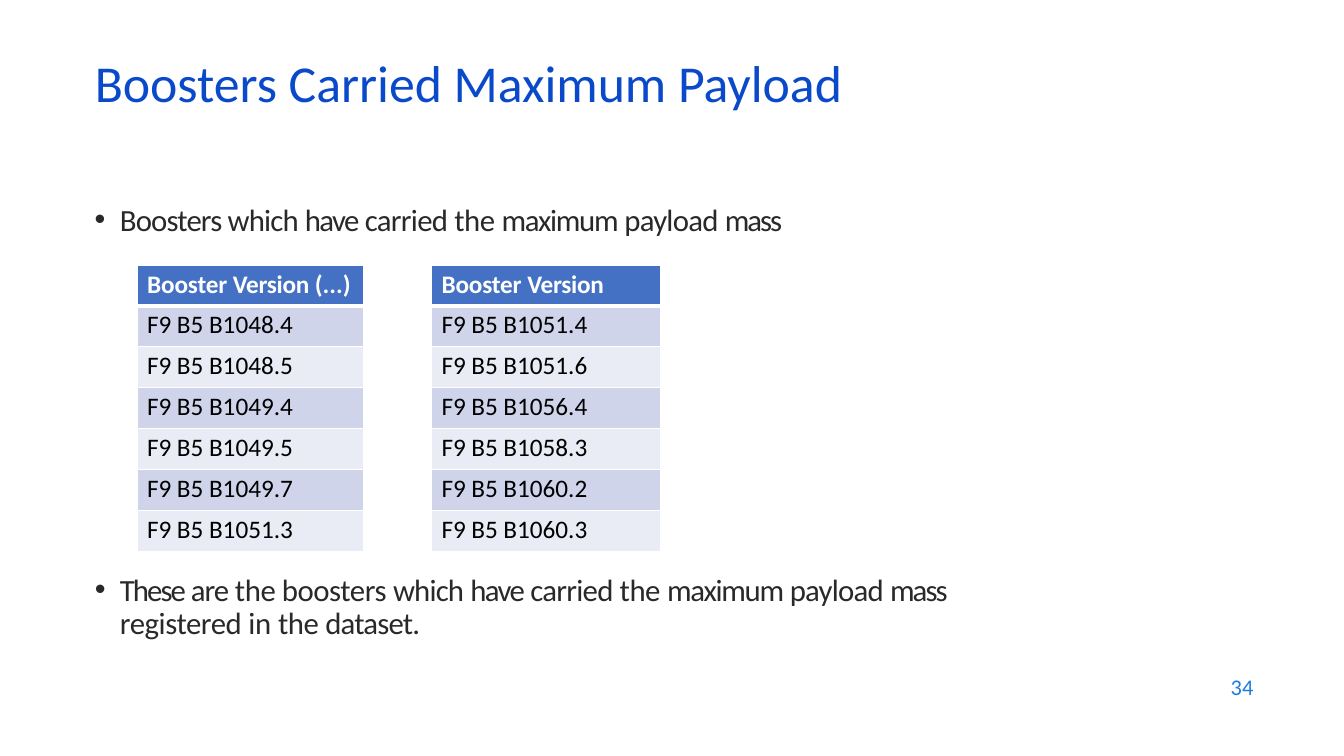
"""Build the slide on boosters that carried the maximum payload."""
from dataclasses import dataclass
from typing import NamedTuple

from lxml.etree import SubElement
from pptx import Presentation
from pptx.dml.color import RGBColor
from pptx.enum.text import MSO_ANCHOR, MSO_AUTO_SIZE, PP_ALIGN
from pptx.oxml.ns import qn
from pptx.util import Pt

SCALE = 9144


@dataclass(frozen=True)
class Theme:
    font: str = "Calibri"
    title: str = "0B49CB"
    body: str = "292929"
    number: str = "1C7DDB"
    head: str = "4471C4"
    bands: tuple = ("CFD4EA", "E9EBF5")
    white: str = "FFFFFF"
    black: str = "000000"
    title_size: int = 37
    body_size: int = 22
    cell_size: int = 18
    number_size: int = 16


class Box(NamedTuple):
    left: int
    top: int
    width: int
    height: int


class Span(NamedTuple):
    text: str
    track: float = 0


@dataclass(frozen=True)
class Bullet:
    box: Box
    inset: int
    spans: list
    pitch: float = 0


@dataclass(frozen=True)
class Grid:
    box: Box
    head: list
    codes: list


THEME = Theme()
CARRY = [Span("have ", -1.1), Span("carried ", -0.5), Span("the ", -0.3),
         Span("maximum ", -0.9), Span("payload ", -0.5)]
BULLETS = [
    Bullet(Box(93, 198, 764, 39), 1,
           [Span("Boosters which ", -0.6), *CARRY, Span("mass", -1.4)]),
    Bullet(Box(93, 565, 948, 73), 5,
           [Span("These ", -1.4), Span("are ", -0.8), Span("the boosters ", -0.3),
            Span("which ", -0.6), *CARRY, Span("mass ", -1.4),
            Span("registered ", -0.3), Span("in ", -0.2), Span("the ", -0.3),
            Span("dataset.", -0.6)], 23.8),
]
GRIDS = [
    Grid(Box(136, 263, 225, 284),
         [Span("Booster ", -0.1), Span("Version ", -0.2), Span("(...)")],
         ["1048.4", "1048.5", "1049.4", "1049.5", "1049.7", "1051.3"]),
    Grid(Box(428, 263, 227, 284),
         [Span("Booster ", -0.1), Span("Version", -0.2)],
         ["1051.4", "1051.6", "1056.4", "1058.3", "1060.2", "1060.3"]),
]


def px(count: int) -> int:
    """Turn px into EMU."""
    return count * SCALE


def place(box: Box) -> list[int]:
    """Turn a box into EMU."""
    return [px(side) for side in box]


def style(run, size: int, color: str, bold: bool = False) -> None:
    """Format one run."""
    run.font.name = THEME.font
    run.font.size = Pt(size)
    run.font.bold = bold
    run.font.color.rgb = RGBColor.from_string(color)


def write(par, spans: list, size: int, color: str, bold: bool = False) -> None:
    """Write spans, each with its own letter spacing."""
    for span in spans:
        run = par.add_run()
        run.text = span.text
        style(run, size, color, bold)
        run.font._element.set("spc", str(round(span.track * 100)))


def draw_title(slide) -> None:
    """Move and format the title."""
    title = slide.shapes.title
    title.left, title.top, title.width, title.height = place(Box(84, 59, 1150, 60))
    frame = title.text_frame
    frame.text = "Boosters Carried Maximum Payload"
    frame.auto_size = MSO_AUTO_SIZE.NONE
    frame.vertical_anchor = MSO_ANCHOR.MIDDLE
    par = frame.paragraphs[0]
    par.alignment = PP_ALIGN.LEFT
    par.line_spacing = 0.7
    style(par.runs[0], THEME.title_size, THEME.title)


def draw_number(slide) -> None:
    """Add the page number."""
    frame = slide.shapes.add_textbox(*place(Box(953, 659, 300, 44))).text_frame
    frame.text = "34"
    frame.word_wrap = True
    frame.vertical_anchor = MSO_ANCHOR.MIDDLE
    par = frame.paragraphs[0]
    par.alignment = PP_ALIGN.RIGHT
    style(par.runs[0], THEME.number_size, THEME.number)


def draw_bullet(slide, item: Bullet) -> None:
    """Add one bulleted text."""
    frame = slide.shapes.add_textbox(*place(item.box)).text_frame
    frame.word_wrap = True
    frame.margin_left = frame.margin_right = frame.margin_bottom = 0
    frame.margin_top = px(item.inset)
    par = frame.paragraphs[0]
    props = par._p.get_or_add_pPr()
    props.set("marL", str(px(26)))
    props.set("indent", str(px(-25)))
    SubElement(props, qn("a:buFont"), typeface="Arial")
    SubElement(props, qn("a:buChar"), char="•")
    if item.pitch:
        par.line_spacing = Pt(item.pitch)
    write(par, item.spans, THEME.body_size, THEME.body)


def draw_edges(cell, top: int, bottom: int) -> None:
    """Give a cell white borders, in points."""
    props = cell._tc.get_or_add_tcPr()
    for side, width in (("L", 1), ("R", 1), ("T", top), ("B", bottom)):
        line = SubElement(props, qn(f"a:ln{side}"), w=str(Pt(width)))
        fill = SubElement(line, qn("a:solidFill"))
        SubElement(fill, qn("a:srgbClr"), val=THEME.white)


def draw_grid(slide, grid: Grid) -> None:
    """Add one table of boosters."""
    rows = [grid.head] + [[Span("F9 ", -0.1), Span(f"B5 B{code}")]
                          for code in grid.codes]
    table = slide.shapes.add_table(len(rows), 1, *place(grid.box)).table
    for index, spans in enumerate(rows):
        head = index == 0
        cell = table.cell(index, 0)
        cell.margin_left, cell.margin_top = px(10), px(4)
        cell.margin_right = cell.margin_bottom = 0
        draw_edges(cell, 3 if index == 1 else 1, 3 if head else 1)
        cell.fill.solid()
        color = THEME.head if head else THEME.bands[(index - 1) % 2]
        cell.fill.fore_color.rgb = RGBColor.from_string(color)
        write(cell.text_frame.paragraphs[0], spans, THEME.cell_size,
              THEME.white if head else THEME.black, head)


def main() -> None:
    """Draw the slide and save it."""
    deck = Presentation()
    deck.slide_width, deck.slide_height = px(1333), px(750)
    slide = deck.slides.add_slide(deck.slide_layouts[5])
    draw_title(slide)
    draw_number(slide)
    for item in BULLETS:
        draw_bullet(slide, item)
    for grid in GRIDS:
        draw_grid(slide, grid)
    deck.save("out.pptx")


if __name__ == "__main__":
    main()
